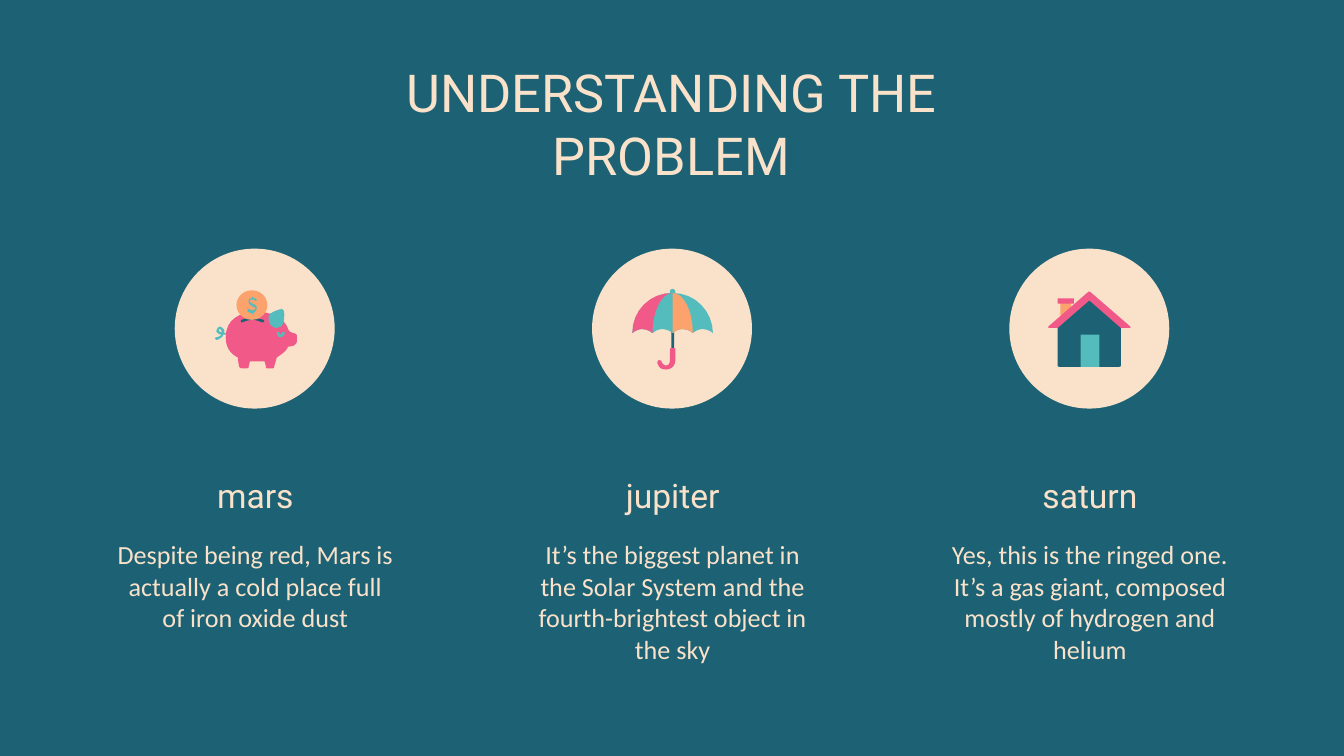
from pptx import Presentation
from pptx.dml.color import RGBColor
from pptx.enum.shapes import MSO_SHAPE
from pptx.enum.text import MSO_ANCHOR, PP_ALIGN
from pptx.util import Inches, Pt

TEAL, CREAM, AQUA, PINK, ORANGE = "1C6274", "FAE2CA", "55BCBD", "F05988", "FBA26D"
TITLE = {"size": Pt(28), "name": "Roboto"}
HEADING = {"size": Pt(18), "name": "Roboto"}
BODY = {"size": Pt(14), "name": "Calibri"}
CURVE_STEPS = 8
FIRST_LEFT, LAST_LEFT = 0.76, 6.97


def color(value):
    return RGBColor.from_string(value)


def paint(shape, fill):
    shape.shadow.inherit = False
    shape.fill.solid()
    shape.fill.fore_color.rgb = color(fill)
    shape.line.fill.background()


def add_text(page, box, text, style, anchor=MSO_ANCHOR.TOP):
    frame = page.shapes.add_textbox(*map(Inches, box)).text_frame
    margins = dict.fromkeys(
        ("margin_left", "margin_top", "margin_right", "margin_bottom"), Inches(0.1))
    for name, value in {"word_wrap": True, "vertical_anchor": anchor, **margins}.items():
        setattr(frame, name, value)
    para = frame.paragraphs[0]
    para.alignment = PP_ALIGN.CENTER
    span = para.add_run()
    span.text = text
    for name, value in style.items():
        setattr(span.font, name, value)
    span.font.color.rgb = color(CREAM)


def add_preset(page, origin, kind, box, fill):
    left, top = origin
    x, y, width, height = (value / 100 for value in box)
    place = (left + x, top + y, width, height)
    paint(page.shapes.add_shape(kind, *map(Inches, place)), fill)


def flatten(contour):
    points = [contour[0]]
    for step in contour[1:]:
        if len(step) == 2:
            points.append(step)
            continue
        start = points[-1]
        for index in range(1, CURVE_STEPS + 1):
            t = index / CURVE_STEPS
            weights = ((1 - t) ** 3, 3 * t * (1 - t) ** 2, 3 * t * t * (1 - t), t ** 3)
            xs, ys = (start[0], *step[::2]), (start[1], *step[1::2])
            points.append(tuple(sum(w * v for w, v in zip(weights, values))
                                for values in (xs, ys)))
    return [(Inches(x / 100), Inches(y / 100)) for x, y in points]


def add_outline(page, origin, fill, *contours):
    first, *others = map(flatten, contours)
    builder = page.shapes.build_freeform(*first[0])
    builder.add_line_segments(first[1:], close=True)
    for points in others:
        builder.move_to(*points[0])
        builder.add_line_segments(points[1:], close=True)
    paint(builder.convert_to_shape(*map(Inches, origin)), fill)


def scallop(x):
    return [(x + 2, 61, x + 5, 60, x + 7, 60), (x + 10, 60, x + 13, 61, x + 15, 63)]


def add_piggy_bank(page, origin):
    tail_hole = [(34, 60), (34, 60, 35, 61, 35, 62), (34, 62, 33, 62, 33, 61),
                 (33, 60, 33, 60, 34, 60)]
    tail = [(34, 58), (33, 58, 32, 59, 32, 59), (31, 61, 31, 61, 31, 62),
            (32, 63, 33, 64, 35, 64), (34, 65, 32, 66, 31, 66), (30, 66, 30, 67, 30, 67),
            (30, 67, 31, 68, 31, 68), (32, 68, 34, 67, 36, 65), (36, 64), (39, 64),
            (39, 63), (37, 63), (37, 62, 37, 61, 37, 61), (36, 59, 35, 59, 34, 58)]
    body = [(61, 47), (48, 47, 38, 53, 38, 66), (38, 73, 41, 78, 47, 81), (47, 82),
            (48, 88), (49, 89, 49, 89, 50, 89), (54, 89), (55, 89, 55, 89, 55, 88),
            (56, 84), (58, 84, 59, 84, 61, 84), (63, 84, 64, 84, 66, 84), (67, 84),
            (68, 88), (68, 89, 68, 89, 69, 89), (73, 89), (74, 89, 74, 89, 74, 88),
            (76, 81), (79, 79, 82, 77, 84, 74), (84, 73, 84, 73, 85, 73), (89, 72),
            (90, 71, 91, 70, 91, 69), (91, 65), (91, 64, 90, 63, 89, 63), (86, 62),
            (86, 62, 85, 61, 85, 61), (82, 51, 71, 47, 61, 47)]
    eye = [(77, 62), (76, 62, 76, 62, 76, 63), (76, 64, 77, 66, 79, 66),
           (80, 66, 82, 64, 82, 63), (82, 62, 81, 62, 81, 62), (80, 62, 80, 62, 80, 63),
           (80, 63, 79, 64, 79, 64), (78, 64, 78, 63, 78, 63), (78, 62, 77, 62, 77, 62)]
    slot = [(58, 52), (55, 52, 52, 52, 50, 53), (49, 53, 49, 55, 50, 55),
            (53, 54, 55, 53, 58, 53), (60, 53, 63, 54, 65, 55), (67, 55, 67, 53, 66, 53),
            (63, 52, 60, 52, 58, 52)]
    upper_hole = [(58, 38), (58, 41), (57, 41, 56, 40, 56, 39), (56, 38, 57, 38, 58, 38)]
    lower_hole = [(58, 43), (59, 43, 60, 44, 60, 45), (60, 45, 59, 46, 58, 46)]
    dollar = [(58, 36), (57.5, 36), (57.5, 37), (56, 37, 55, 38, 55, 39),
              (55, 41, 56, 42, 58, 43), (58, 46), (56, 46, 56, 45, 55, 45),
              (55, 45, 54, 45, 54, 46), (54, 47, 56, 48, 57.5, 48), (57.5, 49), (58.5, 49),
              (58.5, 48), (60, 47, 61, 46, 61, 44), (61, 42, 60, 42, 58, 41), (58, 38),
              (60, 38, 60, 39, 60, 39), (61, 39, 61, 38, 61, 38), (61, 37, 59, 37, 58.5, 37),
              (58.5, 36)]
    ear = [(80, 45), (78, 45, 73, 47, 72, 48), (71, 48, 71, 49, 70, 50),
           (69, 56, 73, 59, 76, 59), (77, 59, 78, 58, 79, 58), (82, 57, 82, 46, 81, 46)]
    add_outline(page, origin, AQUA, tail_hole, tail)
    add_outline(page, origin, PINK, body)
    add_outline(page, origin, AQUA, eye)
    add_outline(page, origin, TEAL, slot)
    add_preset(page, origin, MSO_SHAPE.OVAL, (46, 31, 23, 22), ORANGE)
    add_outline(page, origin, AQUA, upper_hole, lower_hole, dollar)
    add_outline(page, origin, AQUA, ear)


def add_umbrella(page, origin):
    canopy = [(60, 33), (43, 33, 30, 47, 30, 63), *scallop(30), *scallop(45),
              *scallop(60), *scallop(75), (90, 47, 77, 33, 60, 33)]
    left_panel = [(60, 33), (43, 33, 30, 46, 30, 63), *scallop(30), (45, 46, 52, 33, 60, 33)]
    right_panel = [(60, 33), (60, 63), *scallop(60), (75, 46, 68, 33, 60, 33)]
    handle = [(60, 74), (59, 74, 58, 74, 58, 75), (58, 83), (58, 85, 57, 87, 55, 87),
              (54, 87, 53, 86, 52, 85), (52, 84, 51, 83, 50, 83), (49, 83, 48, 85, 49, 86),
              (50, 89, 52, 90, 55, 90), (59, 90, 62, 87, 62, 83), (62, 75),
              (62, 74, 61, 74, 60, 74)]
    add_preset(page, origin, MSO_SHAPE.ROUNDED_RECTANGLE, (59, 58, 2, 21), TEAL)
    add_outline(page, origin, AQUA,
                [(60, 30), (59, 30, 58, 31, 58, 32), (58, 37), (62, 37), (62, 32),
                 (62, 31, 61, 30, 60, 30)])
    for fill, panel in ((AQUA, canopy), (PINK, left_panel), (ORANGE, right_panel),
                        (PINK, handle)):
        add_outline(page, origin, fill, panel)


def add_house(page, origin):
    chimney = [(38, 40), (38, 51), (46, 44), (46, 40)]
    walls = [(60, 38), (36, 58), (36, 87), (36, 88, 37, 88, 38, 88), (81, 88),
             (82, 88, 83, 88, 83, 87), (83, 58)]
    roof = [(60, 32), (59, 32), (29, 58), (29, 59), (36, 59), (59, 39), (60, 39),
            (83, 59), (90, 59), (90, 58)]
    add_outline(page, origin, ORANGE, chimney)
    add_outline(page, origin, TEAL, walls)
    add_preset(page, origin, MSO_SHAPE.RECTANGLE, (36, 37, 12, 4), PINK)
    add_preset(page, origin, MSO_SHAPE.RECTANGLE, (53, 64, 14, 24), AQUA)
    add_outline(page, origin, PINK, roof)


def add_column(page, left, top, width, heading, body, add_icon):
    origin = (left + 0.54, top)
    add_preset(page, origin, MSO_SHAPE.OVAL, (0, 0, 119, 119), CREAM)
    add_icon(page, origin)
    add_text(page, (left, top + 1.6, width, 0.48), heading, HEADING, MSO_ANCHOR.BOTTOM)
    add_text(page, (left, top + 2.06, width, 0.8), body, BODY)


def main():
    deck = Presentation()
    deck.slide_width = Inches(10)
    deck.slide_height = Inches(10) * 9 // 16
    page = deck.slides.add_slide(deck.slide_layouts[6])
    page.background.fill.solid()
    page.background.fill.fore_color.rgb = color(TEAL)
    add_text(page, (2.13, 0.35, 5.73, 0.63), "UNDERSTANDING THE PROBLEM", TITLE)
    planets = (
        ("mars", "Despite being red, Mars is actually a cold place full of iron oxide dust",
         add_piggy_bank),
        ("jupiter", "It’s the biggest planet in the Solar System and the fourth-brightest "
         "object in the sky", add_umbrella),
        ("saturn", "Yes, this is the ringed one. It’s a gas giant, composed mostly of "
         "hydrogen and helium", add_house),
    )
    step = (LAST_LEFT - FIRST_LEFT) / (len(planets) - 1)
    for index, planet in enumerate(planets):
        add_column(page, FIRST_LEFT + step * index, 1.85, 2.28, *planet)
    deck.save("out.pptx")


if __name__ == "__main__":
    main()
